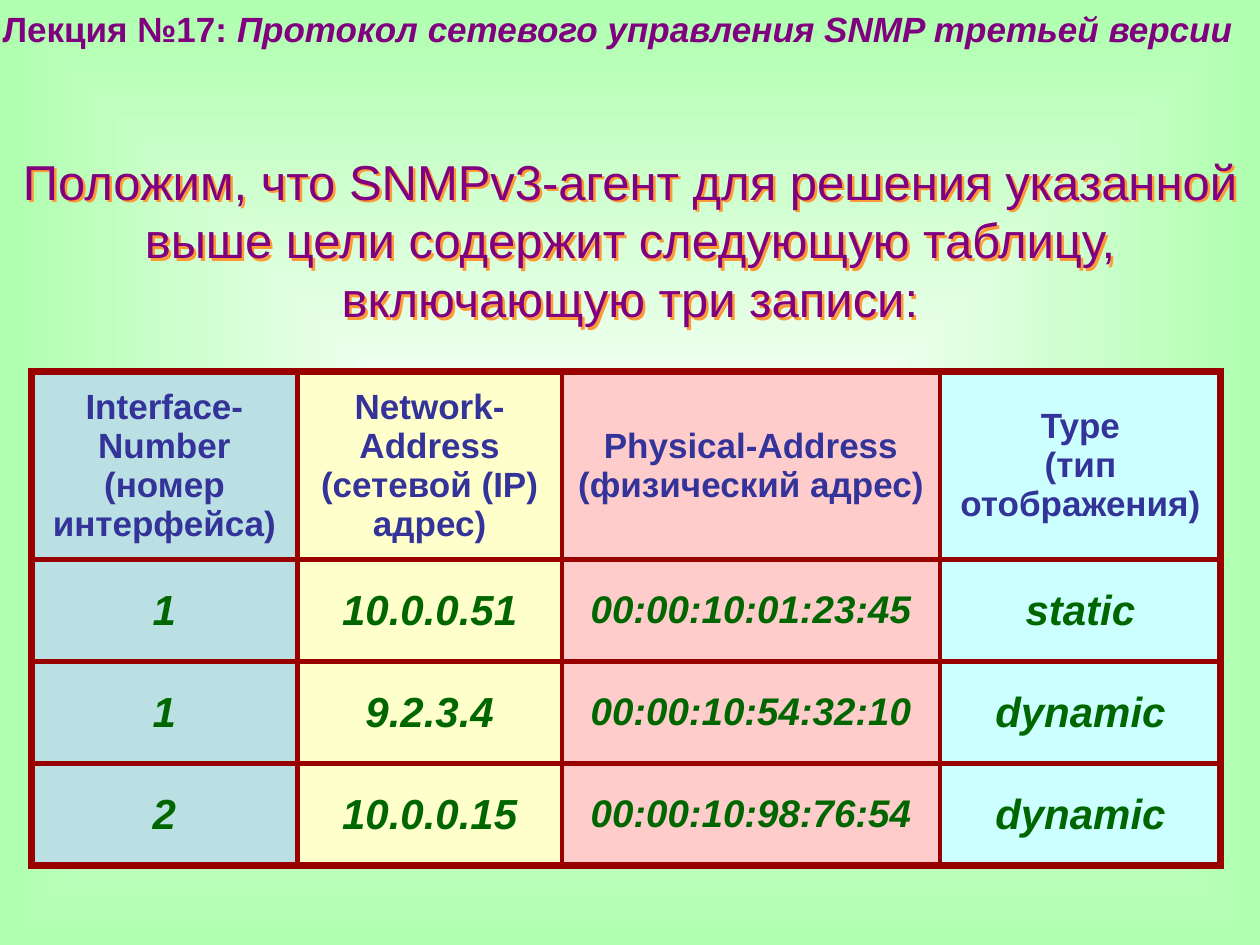
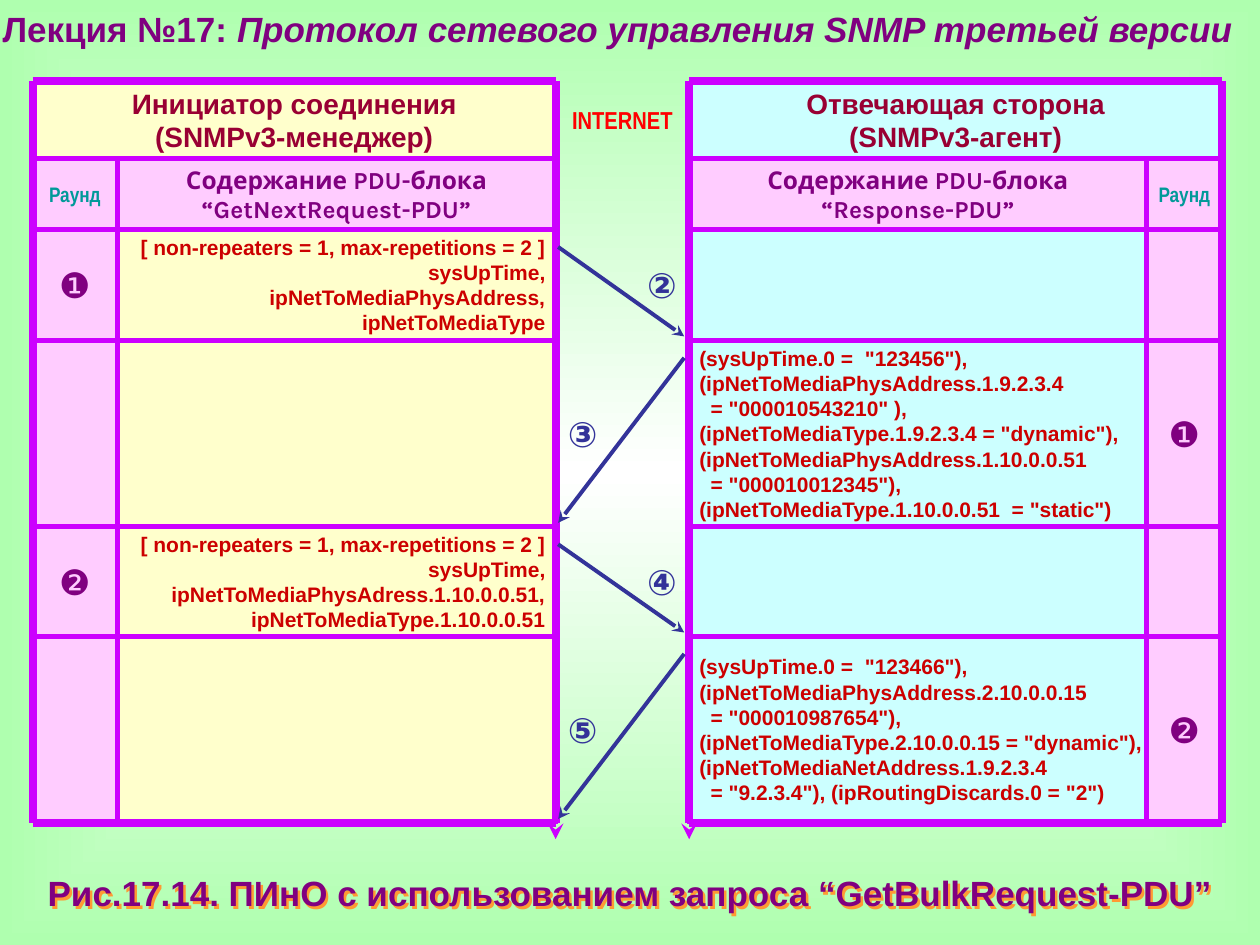
from dataclasses import dataclass
from itertools import product

import pptx
import pptx.dml.color
import pptx.enum.shapes
import pptx.enum.text
import pptx.oxml
import pptx.oxml.ns
import pptx.util
from pptx.util import Inches

ALIGN = pptx.enum.text.PP_ALIGN
ANCHOR = pptx.enum.text.MSO_ANCHOR
COLORS = {
    "white": "FFFFFF", "mint": "AFFFAF", "purple": "800080", "orange": "FF9933",
    "dark red": "990000", "navy": "333399", "green": "006600", "teal": "BBE0E3",
    "yellow": "FFFFCC", "rose": "FFCCCC", "cyan": "CCFFFF", "pink": "FFCCFF",
    "violet": "CC00FF", "red": "CC0000", "bright red": "FF0000",
    "wine": "990033", "sea": "009999",
}

LECTURE = "Лекция №17: "
TOPIC = "Протокол сетевого управления SNMP третьей версии"
STATEMENT = ("Положим, что SNMPv3-агент для решения указанной выше цели "
             "содержит следующую таблицу, включающую три записи:")
CAPTION = "Рис.17.14. ПИнО с использованием запроса “GetBulkRequest-PDU”"

COLUMN_WIDTHS = [2.11, 2.1, 3, 2.23]
COLUMN_FILLS = ["teal", "yellow", "rose", "cyan"]
ADDRESS_ROWS = [
    ["Interface-Number\n(номер интерфейса)", "Network-Address\n(сетевой (IP) адрес)",
     "Physical-Address\n(физический адрес)", "Type\n(тип отображения)"],
    ["1", "10.0.0.51", "00:00:10:01:23:45", "static"],
    ["1", "9.2.3.4", "00:00:10:54:32:10", "dynamic"],
    ["2", "10.0.0.15", "00:00:10:98:76:54", "dynamic"],
]

# Exchange diagram: left edges of the columns and top edges of the rows
MANAGER_LEFT, REQUEST_LEFT, MANAGER_RIGHT = 0.26, 0.93, 4.41
AGENT_LEFT, AGENT_ROUND_LEFT, AGENT_RIGHT = 5.47, 9.1, 9.7
ROW_TOPS = [0.64, 1.26, 1.82, 2.7, 4.18, 5.05, 6.53]
TOP, BOTTOM = ROW_TOPS[0], ROW_TOPS[-1]
INDENT = Inches(0.09)


@dataclass(frozen=True)
class TextStyle:
    size: float
    color: str
    font: str = "Arial"
    bold: bool = True
    italic: bool = False
    align: ALIGN = ALIGN.CENTER
    insets: tuple[float, float, float, float] = (0, 0, 0, 0)


@dataclass(frozen=True)
class Step:
    """One message of the exchange, drawn as one row of the diagram."""
    number: str
    round: str
    message: str
    is_request: bool


TITLE = TextStyle(20, "purple", align=ALIGN.LEFT, insets=(0.02, 0.05, 0.02, 0.05))
STATEMENT_STYLE = TextStyle(28, "purple", bold=False, insets=(0.1, 0.05, 0.1, 0.05))
CAPTION_STYLE = TextStyle(20, "purple")
TABLE_INSETS = (0.04,) * 4
HEADER = TextStyle(20, "navy", insets=TABLE_INSETS)
ENTRY = TextStyle(24, "green", italic=True, insets=TABLE_INSETS)
ADDRESS = TextStyle(22, "green", italic=True, insets=TABLE_INSETS)
PARTY = TextStyle(16, "wine")
CONTENT = TextStyle(14, "purple", "Karla")
ROUND_LABEL = TextStyle(12, "sea", "Arial Narrow")
ROUND = TextStyle(20, "purple", bold=False)
REQUEST = TextStyle(12, "red", align=ALIGN.RIGHT, insets=(0, 0.04, 0.08, 0.04))
RESPONSE = TextStyle(12, "red", align=ALIGN.LEFT, insets=(0.08, 0.04, 0.02, 0.04))
NETWORK = TextStyle(14, "bright red", "Arial Narrow")
GAP_INSETS = (0.1, 0.05, 0.1, 0.05)
REQUEST_NUMBER = TextStyle(20, "navy", align=ALIGN.RIGHT, insets=GAP_INSETS)
RESPONSE_NUMBER = TextStyle(20, "navy", align=ALIGN.LEFT, insets=GAP_INSETS)

STEPS = [
    Step("②", "❶", "[ non-repeaters = 1, max-repetitions = 2 ]\nsysUpTime,\n"
         "ipNetToMediaPhysAddress,\nipNetToMediaType", True),
    Step("③", "❶", '(sysUpTime.0 =  "123456"),\n'
         '(ipNetToMediaPhysAddress.1.9.2.3.4\n= "000010543210" ),\n'
         '(ipNetToMediaType.1.9.2.3.4 = "dynamic"),\n'
         '(ipNetToMediaPhysAddress.1.10.0.0.51\n= "000010012345"),\n'
         '(ipNetToMediaType.1.10.0.0.51  = "static")', False),
    Step("④", "❷", "[ non-repeaters = 1, max-repetitions = 2 ]\nsysUpTime,\n"
         "ipNetToMediaPhysAdress.1.10.0.0.51,\nipNetToMediaType.1.10.0.0.51", True),
    Step("⑤", "❷", '(sysUpTime.0 =  "123466"),\n'
         '(ipNetToMediaPhysAddress.2.10.0.0.15\n= "000010987654"),\n'
         '(ipNetToMediaType.2.10.0.0.15 = "dynamic"),\n'
         '(ipNetToMediaNetAddress.1.9.2.3.4\n'
         '= "9.2.3.4"), (ipRoutingDiscards.0 = "2")', False),
]


def rgb(name: str) -> pptx.dml.color.RGBColor:
    return pptx.dml.color.RGBColor.from_string(COLORS[name])


def xml(markup: str):
    """Parse one DrawingML element whose root tag has the a: prefix."""
    tag_end = min(markup.find(mark) for mark in " />" if mark in markup)
    namespace = pptx.oxml.ns.nsdecls("a")
    return pptx.oxml.parse_xml(f"{markup[:tag_end]} {namespace}{markup[tag_end:]}")


def format_paragraph(paragraph, style: TextStyle) -> None:
    paragraph.alignment = style.align
    font = paragraph.font
    font.name, font.size = style.font, pptx.util.Pt(style.size)
    font.bold, font.italic = style.bold, style.italic
    font.color.rgb = rgb(style.color)


def fill_frame(holder, text: str, style: TextStyle) -> None:
    """Write text into a shape or a table cell; lines that open with = are indented."""
    frame = holder.text_frame
    frame.text = text
    # Margins and anchor belong to the cell itself in a table, else to the frame.
    box = holder if hasattr(holder, "is_merge_origin") else frame
    box.margin_left, box.margin_top, box.margin_right, box.margin_bottom = map(
        Inches, style.insets)
    box.vertical_anchor = ANCHOR.MIDDLE
    frame.word_wrap = True
    for paragraph in frame.paragraphs:
        format_paragraph(paragraph, style)
        if paragraph.text.startswith("="):
            paragraph._p.get_or_add_pPr().set("marL", str(INDENT))


def add_label(slide, left: float, top: float, width: float, height: float,
              text: str, style: TextStyle):
    label = slide.shapes.add_textbox(*map(Inches, (left, top, width, height)))
    fill_frame(label, text, style)
    return label


def add_text_shadow(label) -> None:
    label._element.spPr.append(xml(
        '<a:effectLst><a:outerShdw dist="25400" dir="2700000" algn="ctr">'
        f'<a:srgbClr val="{COLORS["orange"]}"/></a:outerShdw></a:effectLst>'))


def add_block(slide, left: float, right: float, top: float, bottom: float, fill: str,
              text: str = "", style: TextStyle = ROUND) -> None:
    block = slide.shapes.add_shape(
        pptx.enum.shapes.MSO_SHAPE.RECTANGLE,
        *map(Inches, (left, top, right - left, bottom - top)))
    block.shadow.inherit = False
    block.fill.solid()
    block.fill.fore_color.rgb = rgb(fill)
    block.line.fill.background()
    if text:
        fill_frame(block, text, style)


def add_line(slide, x1: float, y1: float, x2: float, y2: float, color: str = "violet",
             width: float = 3, arrow: bool = False) -> None:
    connector = slide.shapes.add_connector(
        pptx.enum.shapes.MSO_CONNECTOR.STRAIGHT, *map(Inches, (x1, y1, x2, y2)))
    connector.line.color.rgb = rgb(color)
    connector.line.width = pptx.util.Pt(width)
    if arrow:
        connector.line._get_or_add_ln().append(xml('<a:tailEnd type="stealth"/>'))
    connector._element.spPr.append(xml("<a:effectLst/>"))


def set_background(master) -> None:
    fill = master.background.fill
    fill.gradient()
    for stop, color in zip(fill.gradient_stops, ("white", "mint")):
        stop.color.rgb = rgb(color)
    gradient = master.element.find(".//" + pptx.oxml.ns.qn("p:bg")).find(
        ".//" + pptx.oxml.ns.qn("a:gradFill"))
    gradient.replace(gradient.find(pptx.oxml.ns.qn("a:lin")), xml(
        '<a:path path="shape"><a:fillToRect l="50000" t="50000" r="50000" b="50000"/>'
        "</a:path>"))


def add_lecture_slide(deck):
    slide = deck.slides.add_slide(deck.slide_layouts.get_by_name("Title Only"))
    for placeholder in list(slide.placeholders):
        if placeholder != slide.shapes.title:
            placeholder._element.getparent().remove(placeholder._element)
    title = slide.shapes.title
    title.left, title.top, title.width, title.height = map(Inches, (0, 0, 10, 0.46))
    fill_frame(title, LECTURE, TITLE)
    title.text_frame.auto_size = pptx.enum.text.MSO_AUTO_SIZE.NONE
    topic = title.text_frame.paragraphs[0].add_run()
    topic.text = TOPIC
    topic.font.italic = True
    return slide


def set_borders(cell, widths: dict[str, float]) -> None:
    properties = cell._tc.get_or_add_tcPr()
    for side, width in widths.items():
        properties.append(xml(
            f'<a:ln{side} w="{pptx.util.Pt(width)}"><a:solidFill>'
            f'<a:srgbClr val="{COLORS["dark red"]}"/></a:solidFill></a:ln{side}>'))


def add_address_table(slide) -> None:
    last_row, last_column = len(ADDRESS_ROWS) - 1, len(COLUMN_WIDTHS) - 1
    table = slide.shapes.add_table(
        last_row + 1, last_column + 1,
        *map(Inches, (0.25, 2.95, sum(COLUMN_WIDTHS), 3.92))).table
    table.first_row = table.horz_banding = False
    for column, width in zip(table.columns, COLUMN_WIDTHS):
        column.width = Inches(width)
    for index, row in enumerate(table.rows):
        row.height = Inches(0.81 if index else 1.49)
    for r, c in product(range(last_row + 1), range(last_column + 1)):
        cell = table.cell(r, c)
        style = HEADER if r == 0 else ADDRESS if c == 2 else ENTRY
        fill_frame(cell, ADDRESS_ROWS[r][c], style)
        on_edge = {"L": c == 0, "R": c == last_column, "T": r == 0, "B": r == last_row}
        set_borders(cell, {side: 4.5 if edge else 3 for side, edge in on_edge.items()})
        cell.fill.solid()
        cell.fill.fore_color.rgb = rgb(COLUMN_FILLS[c])


def add_exchange_headings(slide) -> None:
    party, content = ROW_TOPS[:2], ROW_TOPS[1:3]
    add_block(slide, MANAGER_LEFT, MANAGER_RIGHT, *party, "yellow",
              "Инициатор соединения\n(SNMPv3-менеджер)", PARTY)
    add_block(slide, AGENT_LEFT, AGENT_RIGHT, *party, "cyan",
              "Отвечающая сторона\n(SNMPv3-агент)", PARTY)
    add_label(slide, MANAGER_RIGHT, TOP, AGENT_LEFT - MANAGER_RIGHT,
              party[1] - TOP, "INTERNET", NETWORK)
    for left, right, pdu in ((REQUEST_LEFT, MANAGER_RIGHT, "GetNextRequest-PDU"),
                             (AGENT_LEFT, AGENT_ROUND_LEFT, "Response-PDU")):
        add_block(slide, left, right, *content, "pink",
                  f"Содержание PDU-блока\n“{pdu}”", CONTENT)
    for left, right in ((MANAGER_LEFT, REQUEST_LEFT), (AGENT_ROUND_LEFT, AGENT_RIGHT)):
        add_block(slide, left, right, *content, "pink", "Раунд", ROUND_LABEL)


def add_step(slide, step: Step, top: float, bottom: float) -> None:
    request = (step.round, step.message) if step.is_request else ("", "")
    response = ("", "") if step.is_request else (step.round, step.message)
    add_block(slide, MANAGER_LEFT, REQUEST_LEFT, top, bottom, "pink", request[0])
    add_block(slide, REQUEST_LEFT, MANAGER_RIGHT, top, bottom, "yellow", request[1], REQUEST)
    add_block(slide, AGENT_LEFT, AGENT_ROUND_LEFT, top, bottom, "cyan", response[1], RESPONSE)
    add_block(slide, AGENT_ROUND_LEFT, AGENT_RIGHT, top, bottom, "pink", response[0])
    add_label(slide, MANAGER_RIGHT, top, AGENT_LEFT - MANAGER_RIGHT, bottom - top,
              step.number, REQUEST_NUMBER if step.is_request else RESPONSE_NUMBER)


def add_exchange_frame(slide) -> None:
    for left, right in ((MANAGER_LEFT, MANAGER_RIGHT), (AGENT_LEFT, AGENT_RIGHT)):
        for y in ROW_TOPS:
            add_line(slide, left, y, right, y, width=4.5 if y in (TOP, BOTTOM) else 3)
        for x in (left, right):
            add_line(slide, x, TOP, x, BOTTOM, width=4.5)
    for x in (REQUEST_LEFT, AGENT_ROUND_LEFT):
        add_line(slide, x, ROW_TOPS[1], x, BOTTOM)
    for x in (MANAGER_RIGHT, AGENT_LEFT):
        add_line(slide, x, BOTTOM - 0.3, x, 6.66, arrow=True)


def build_address_slide(deck) -> None:
    slide = add_lecture_slide(deck)
    add_text_shadow(add_label(slide, 0, 1.15, 10, 1.5, STATEMENT, STATEMENT_STYLE))
    add_address_table(slide)


def build_exchange_slide(deck) -> None:
    slide = add_lecture_slide(deck)
    add_exchange_headings(slide)
    rows = list(zip(STEPS, ROW_TOPS[2:], ROW_TOPS[3:]))
    for step, top, bottom in rows:
        add_step(slide, step, top, bottom)
    add_exchange_frame(slide)
    for step, top, bottom in rows:
        start, end = MANAGER_RIGHT + 0.02, AGENT_LEFT - 0.04
        if not step.is_request:
            start, end = end, start
        add_line(slide, start, top + 0.14, end, bottom - 0.03, "navy", 2.25, arrow=True)
    caption = add_label(slide, 0, 6.94, 10, 0.32, CAPTION, CAPTION_STYLE)
    caption.text_frame.paragraphs[0].line_spacing = 0.95
    add_text_shadow(caption)


def main() -> None:
    deck = pptx.Presentation()
    deck.slide_width, deck.slide_height = Inches(10), Inches(7.5)
    set_background(deck.slide_master)
    build_address_slide(deck)
    build_exchange_slide(deck)
    deck.save("out.pptx")


if __name__ == "__main__":
    main()
